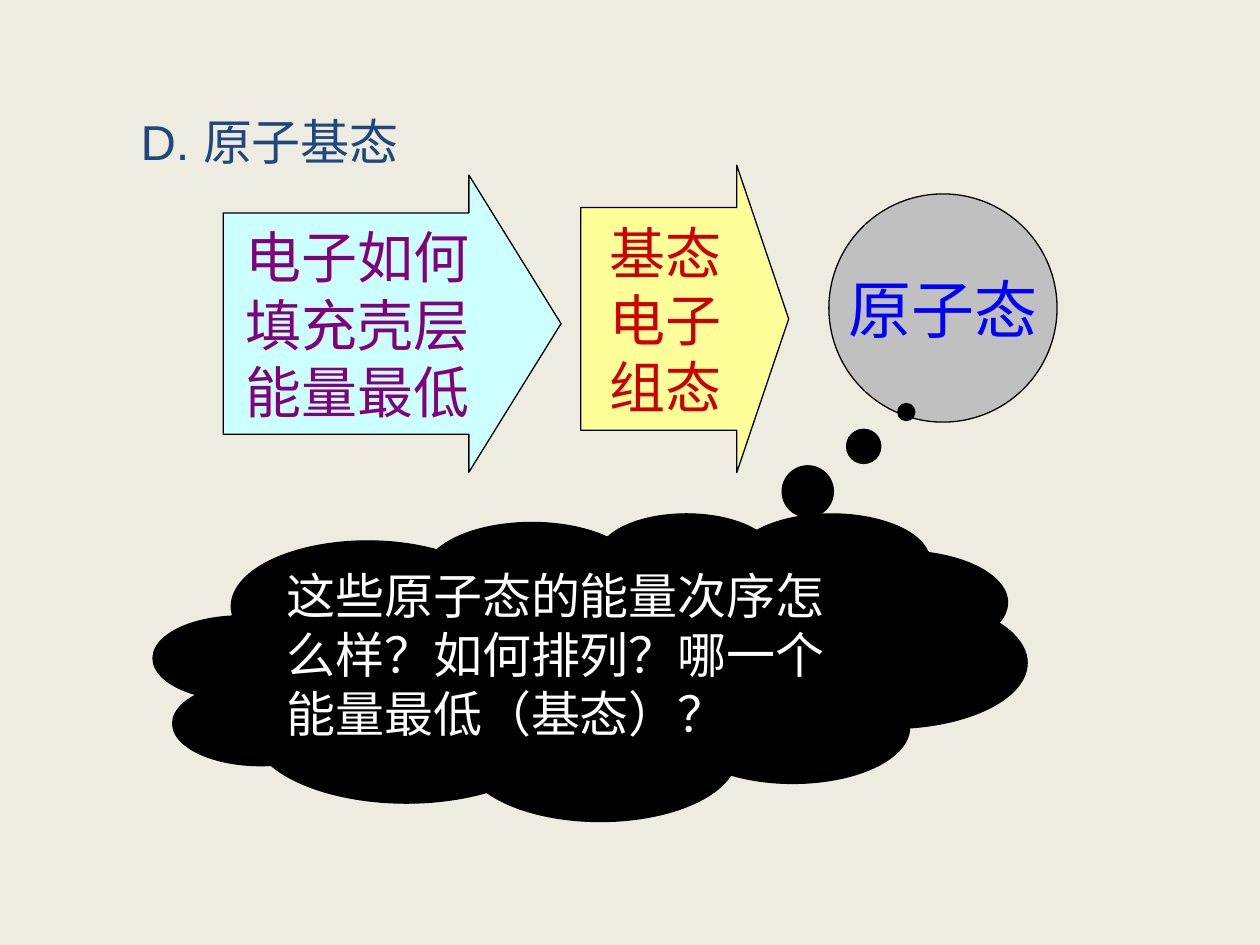
from dataclasses import dataclass

from pptx import Presentation
from pptx.dml.color import RGBColor
from pptx.enum.shapes import MSO_SHAPE as Shape
from pptx.enum.text import MSO_ANCHOR as Anchor, PP_ALIGN as Align
from pptx.util import Cm, Pt


@dataclass(frozen=True)
class Theme:
    font: str = "Arial"
    background: str = "EEECE1"
    outline: str = "000000"
    outline_width: float = 0.75
    title: str = "1F497D"
    body_size: int = 28
    step_size: int = 32
    state_size: int = 36


THEME = Theme()

TITLE = " D. 原子基态"
TITLE_BOX = (2.31, 2.13, 6.53, 1.45)

# Boxes are left, top, width, height in centimetres.
FIGURES = [
    dict(kind=Shape.RIGHT_ARROW, box=(4.5, 3.53, 6.81, 5.99),
         adjust=(0.745, 0.31), fill="CCFFFF",
         lines=["电子如何", "填充壳层", "能量最低"],
         text=dict(size=THEME.step_size, color="800080")),
    dict(kind=Shape.RIGHT_ARROW, box=(11.71, 3.33, 4.19, 6.2),
         adjust=(0.724, 0.25), fill="FFFF99",
         lines=["基态", "电子", "组态"],
         text=dict(size=THEME.step_size, color="CC0000")),
    dict(kind=Shape.OVAL, box=(16.71, 3.91, 4.6, 4.6),
         adjust=(), fill="C0C0C0",
         lines=["原子态"],
         text=dict(size=THEME.state_size, color="0000FF")),
    dict(kind=Shape.CLOUD_CALLOUT, box=(3.1, 10.34, 17.6, 6.2),
         adjust=(0.362, -0.828), fill="000000",
         lines=["这些原子态的能量次序怎么样？如何排列？哪一个能量最低（基态）？"],
         text=dict(size=THEME.body_size, color="FFFFFF", align=Align.LEFT,
                   anchor=Anchor.TOP, wrap=True)),
]


def rgb(value):
    return RGBColor.from_string(value)


def write(sp, lines, *, size, color, align=Align.CENTER,
          anchor=Anchor.MIDDLE, wrap=False):
    """Fill a shape with one paragraph per line."""
    tf = sp.text_frame
    tf.word_wrap = wrap
    tf.vertical_anchor = anchor
    for i, line in enumerate(lines):
        p = tf.add_paragraph() if i else tf.paragraphs[0]
        p.alignment = align
        r = p.add_run()
        r.text = line
        r.font.name = THEME.font
        r.font.size = Pt(size)
        r.font.color.rgb = rgb(color)


def add_figure(slide, *, kind, box, adjust, fill, lines, text):
    sp = slide.shapes.add_shape(kind, *map(Cm, box))
    sp.shadow.inherit = False
    for i, value in enumerate(adjust):
        sp.adjustments[i] = value
    sp.fill.solid()
    sp.fill.fore_color.rgb = rgb(fill)
    sp.line.color.rgb = rgb(THEME.outline)
    sp.line.width = Pt(THEME.outline_width)
    write(sp, lines, **text)


def main():
    prs = Presentation()
    prs.slide_width, prs.slide_height = Cm(25.4), Cm(19.05)
    slide = prs.slides.add_slide(prs.slide_layouts[6])
    slide.background.fill.solid()
    slide.background.fill.fore_color.rgb = rgb(THEME.background)

    for figure in FIGURES:
        add_figure(slide, **figure)
    title = slide.shapes.add_textbox(*map(Cm, TITLE_BOX))
    write(title, [TITLE], size=THEME.body_size, color=THEME.title,
          align=Align.LEFT, anchor=Anchor.TOP)

    prs.save("out.pptx")


if __name__ == "__main__":
    main()
